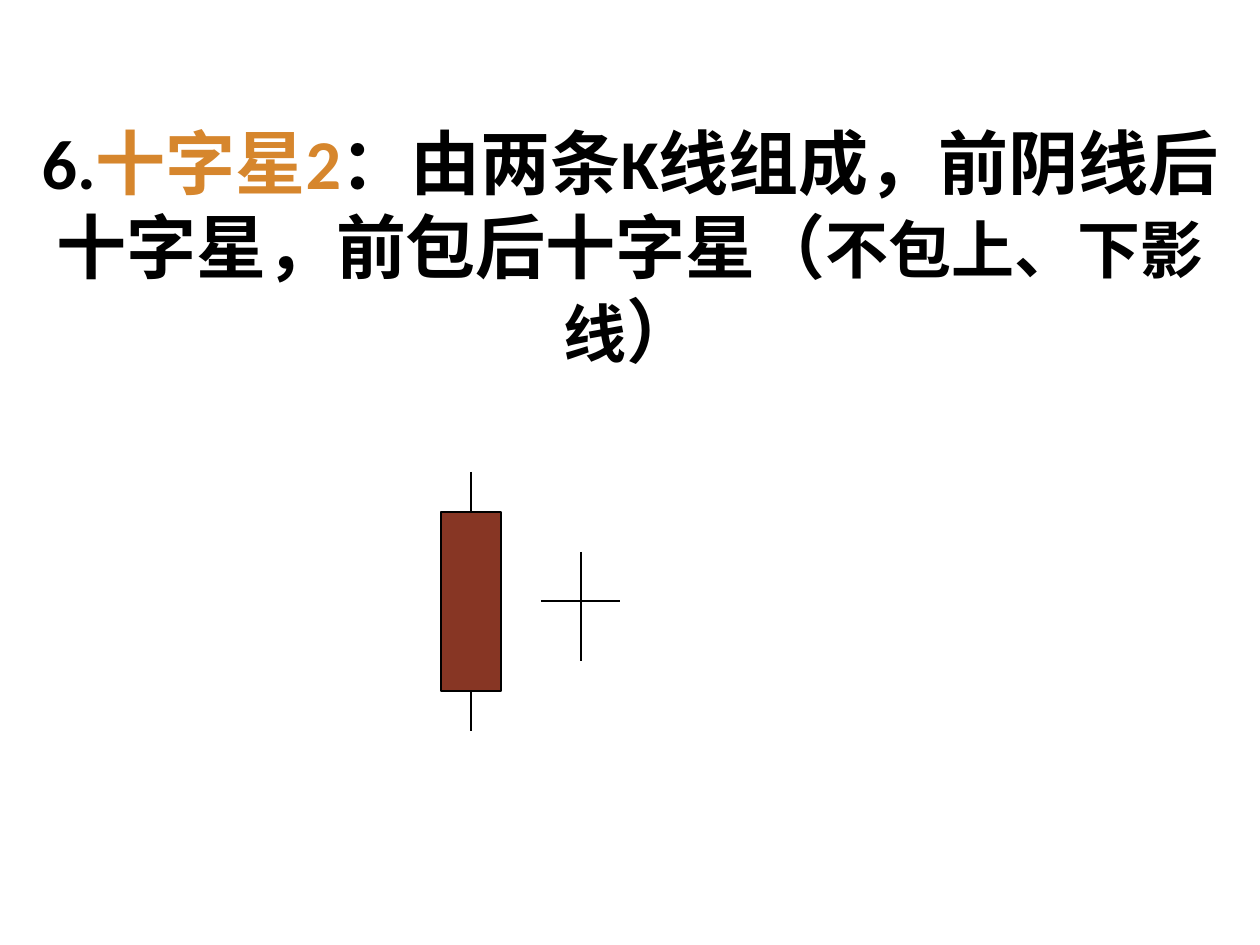
from dataclasses import dataclass

from lxml import etree
from pptx import Presentation
from pptx.dml.color import RGBColor
from pptx.enum.shapes import MSO_CONNECTOR, MSO_SHAPE
from pptx.enum.text import MSO_ANCHOR, MSO_AUTO_SIZE, PP_ALIGN
from pptx.oxml.ns import qn
from pptx.util import Emu, Pt

PX = 914400 // 126
TITLE_ONLY = 5
STRAIGHT, RECT = MSO_CONNECTOR.STRAIGHT, MSO_SHAPE.RECTANGLE
TOP, BOTTOM = 0, 2


@dataclass(frozen=True)
class Theme:
    ink: RGBColor = RGBColor(0x00, 0x00, 0x00)
    accent: RGBColor = RGBColor(0xD6, 0x86, 0x2D)
    candle: RGBColor = RGBColor(0x87, 0x36, 0x24)
    font: str = "Calibri"
    title: int = 40
    note: int = 36
    line: float = 0.75


THEME = Theme()


def px(*values):
    return [Emu(v * PX) for v in values]


def set_title(s, box, runs):
    sp = s.shapes.title
    sp.left, sp.top, sp.width, sp.height = px(*box)
    tf = sp.text_frame
    frame_format = {"word_wrap": True, "auto_size": MSO_AUTO_SIZE.NONE,
                    "vertical_anchor": MSO_ANCHOR.MIDDLE}
    for name, value in frame_format.items():
        setattr(tf, name, value)
    p = tf.paragraphs[0]
    p.alignment = PP_ALIGN.CENTER
    for text, size, color in runs:
        r = p.add_run()
        r.text = text
        run_format = {"name": THEME.font, "size": Pt(size), "bold": True}
        for name, value in run_format.items():
            setattr(r.font, name, value)
        r.font.color.rgb = color


def style_line(line):
    line.color.rgb = THEME.ink
    line.width = Pt(THEME.line)


def add_line(s, x1, y1, x2, y2):
    cxn = s.shapes.add_connector(STRAIGHT, *px(x1, y1, x2, y2))
    style_line(cxn.line)
    etree.SubElement(cxn._element.spPr, qn("a:effectLst"))
    return cxn


def add_candle(s, x, y, w, h, wick):
    # Body
    body = s.shapes.add_shape(RECT, *px(x, y, w, h))
    body.shadow.inherit = False
    body.fill.solid()
    body.fill.fore_color.rgb = THEME.candle
    style_line(body.line)
    # Upper and lower wicks, joined to the body
    mid, bottom = x + w // 2, y + h
    add_line(s, mid, y - wick, mid, y).end_connect(body, TOP)
    add_line(s, mid, bottom, mid, bottom + wick).begin_connect(body, BOTTOM)


def add_doji(s, x, y, left, right, top, bottom):
    add_line(s, left, y, right, y)
    add_line(s, x, top, x, bottom)


def main():
    prs = Presentation()
    prs.slide_width, prs.slide_height = px(1260, 945)
    s = prs.slides.add_slide(prs.slide_layouts[TITLE_ONLY])

    # Heading
    set_title(s, (0, 115, 1260, 261), [
        ("6.", THEME.title, THEME.ink),
        ("十字星2", THEME.title, THEME.accent),
        ("：由两条K线组成，前阴线后十字星，前包后十字星（", THEME.title, THEME.ink),
        ("不包上、下影线", THEME.note, THEME.ink),
        ("）", THEME.title, THEME.ink),
    ])

    # Falling candle, then the cross star
    add_candle(s, 441, 512, 60, 179, wick=40)
    add_doji(s, 581, 601, left=541, right=620, top=552, bottom=661)

    prs.save("out.pptx")


if __name__ == "__main__":
    main()
